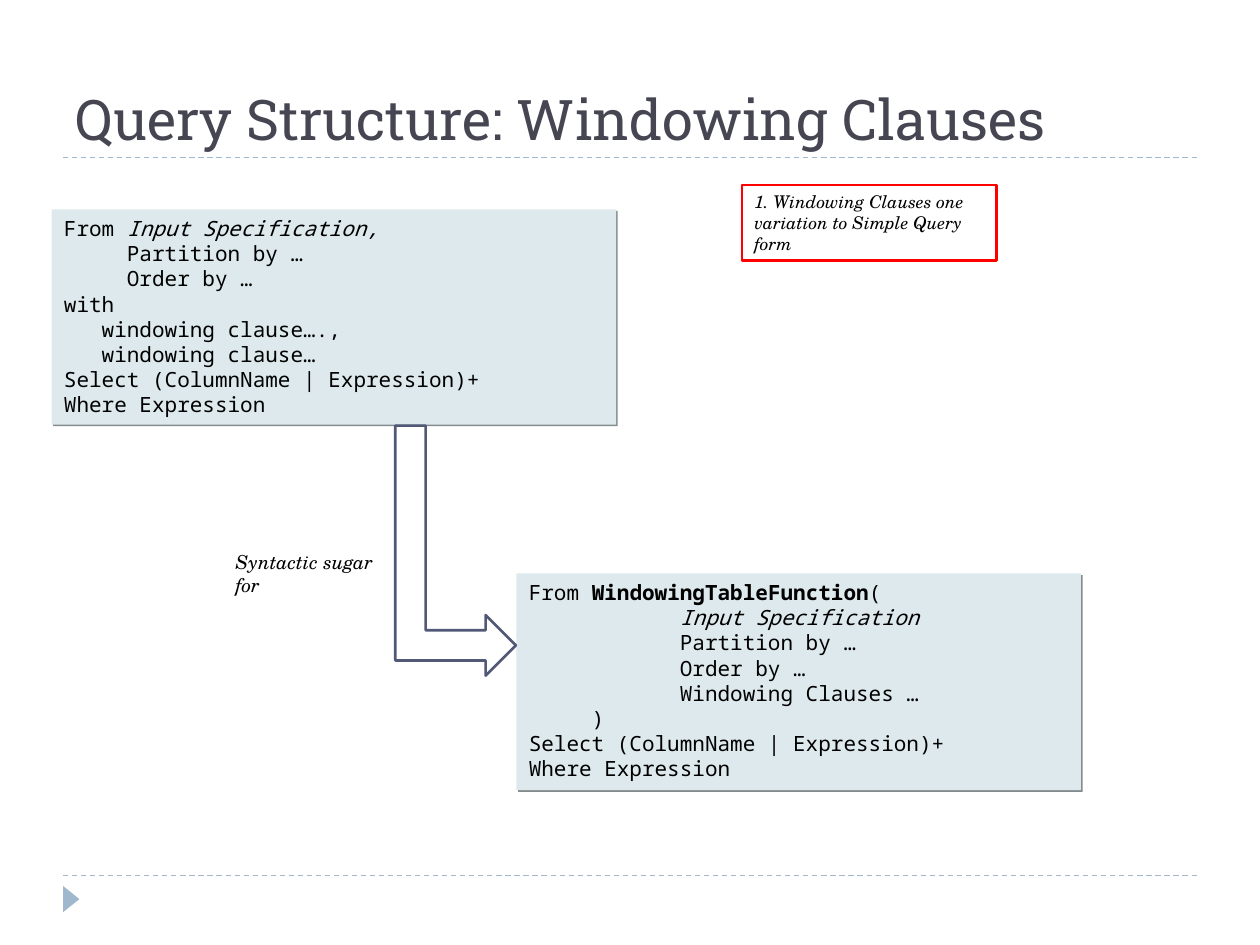
"""Build a slide on windowing clauses as syntactic sugar for a table function."""
import pptx
import pptx.dml.color
import pptx.enum.dml
import pptx.enum.shapes
import pptx.enum.text
import pptx.oxml
import pptx.oxml.ns
import pptx.util

Cm = pptx.util.Cm
Pt = pptx.util.Pt

THEME = {
    "heading": {"font": "Roboto Slab", "size": 32, "color": "464653"},
    "code": {"font": "Noto Sans Mono", "size": 12, "color": "000000"},
    "label": {"font": "TeX Gyre Schola", "size": 11, "color": "000000"},
    "note": {"font": "TeX Gyre Schola", "size": 10, "color": "000000"},
    "code_spacing": 14.4,
    "rule": "9FB8CD",
    "panel": "DDE9EC",
    "shadow": "858C8E",
    "arrow": "525977",
    "alert": "FF0000",
}

TITLE = "Query Structure: Windowing Clauses"
LABEL = "Syntactic sugar for"
NOTE = "1. Windowing Clauses one variation to Simple Query form"
COMMON_ENDING = [
    [("Select (ColumnName | Expression)+", "")],
    [("Where Expression", "")],
]
CODE_PANELS = [
    ((1.04, 4.22, 11.38, 4.34), [
        [("From ", ""), ("Input Specification,", "italic")],
        [("     Partition by …", "")],
        [("     Order by …", "")],
        [("with", "")],
        [("   windowing clause….,", "")],
        [("   windowing clause…", "")],
    ] + COMMON_ENDING),
    ((10.41, 11.56, 11.38, 4.37), [
        [("From ", ""), ("WindowingTableFunction", "bold"), ("(", "")],
        [("            Input Specification", "italic")],
        [("            Partition by …", "")],
        [("            Order by …", "")],
        [("            Windowing Clauses …", "")],
        [("     )", "")],
    ] + COMMON_ENDING),
]
TITLE_BOX = (1.27, 0.64, 22.86, 2.54)
LABEL_BOX = (4.5, 10.97, 3.76, 1.19)
NOTE_BOX = (14.96, 3.73, 5.13, 1.52)
MARKER_BOX = (1.17, 17.96, 0.53, 0.33)
RULE_LEFT, RULE_RIGHT = 1.27, 24.13
RULE_HEIGHTS = (3.18, 17.65)
ARROW = {"left": 7.97, "top": 8.58, "tip": (10.4, 13.01), "unit": 0.61}


def rgb(color):
    return pptx.dml.color.RGBColor.from_string(color)


def place(box):
    return [Cm(length) for length in box]


def format_run(run, style, emphasis=""):
    run.font.name = style["font"]
    run.font.size = Pt(style["size"])
    run.font.color.rgb = rgb(style["color"])
    run.font.bold = emphasis == "bold"
    run.font.italic = emphasis == "italic"


def set_text(shape, text, style, emphasis="", anchor=pptx.enum.text.MSO_ANCHOR.TOP):
    frame = shape.text_frame
    frame.text = text
    frame.word_wrap = True
    frame.vertical_anchor = anchor
    paragraph = frame.paragraphs[0]
    paragraph.alignment = pptx.enum.text.PP_ALIGN.LEFT
    format_run(paragraph.runs[0], style, emphasis)


def add_box(slide, box, fill=None, line=None, kind="RECTANGLE"):
    shape_type = getattr(pptx.enum.shapes.MSO_SHAPE, kind)
    shape = slide.shapes.add_shape(shape_type, *place(box))
    paint(shape, fill, line)
    return shape


def paint(shape, fill, line):
    shape.shadow.inherit = False
    if fill:
        shape.fill.solid()
        shape.fill.fore_color.rgb = rgb(fill)
    else:
        shape.fill.background()
    if line:
        shape.line.color.rgb = rgb(line)
        shape.line.width = Pt(1.5)
    else:
        shape.line.fill.background()


def add_shadow(shape):
    effects = shape._element.spPr.find(pptx.oxml.ns.qn("a:effectLst"))
    effects.append(pptx.oxml.parse_xml(
        f'<a:outerShdw {pptx.oxml.ns.nsdecls("a")} dist="{Pt(1.4)}" dir="2700000" '
        f'algn="ctr" rotWithShape="0"><a:srgbClr val="{THEME["shadow"]}"/></a:outerShdw>'))


def add_rule(slide, height):
    rule = slide.shapes.add_connector(
        pptx.enum.shapes.MSO_CONNECTOR.STRAIGHT,
        *place((RULE_LEFT, height, RULE_RIGHT, height)))
    rule.line.color.rgb = rgb(THEME["rule"])
    rule.line.width = Pt(0.75)
    rule.line.dash_style = pptx.enum.dml.MSO_LINE.DASH
    rule._element.spPr.append(pptx.oxml.parse_xml(
        f'<a:effectLst {pptx.oxml.ns.nsdecls("a")}/>'))


def add_code_panel(slide, box, lines):
    panel = add_box(slide, box, fill=THEME["panel"])
    add_shadow(panel)
    frame = panel.text_frame
    frame.word_wrap = True
    frame.vertical_anchor = pptx.enum.text.MSO_ANCHOR.TOP
    for index, line in enumerate(lines):
        paragraph = frame.add_paragraph() if index else frame.paragraphs[0]
        paragraph.alignment = pptx.enum.text.PP_ALIGN.LEFT
        paragraph.line_spacing = Pt(THEME["code_spacing"])
        for text, emphasis in line:
            run = paragraph.add_run()
            run.text = text
            format_run(run, THEME["code"], emphasis)


def add_bent_arrow(slide, left, top, tip, unit):
    tip_x, tip_y = tip
    head_x, half = tip_x - unit, unit / 2
    points = [
        (left, top), (left + unit, top), (left + unit, tip_y - half),
        (head_x, tip_y - half), (head_x, tip_y - unit), tip,
        (head_x, tip_y + unit), (head_x, tip_y + half), (left, tip_y + half),
    ]
    start, *others = [tuple(place(point)) for point in points]
    builder = slide.shapes.build_freeform(*start)
    builder.add_line_segments(others, close=True)
    paint(builder.convert_to_shape(), None, THEME["arrow"])


def main():
    presentation = pptx.Presentation()
    presentation.slide_width, presentation.slide_height = Cm(25.4), Cm(19.05)
    slide = presentation.slides.add_slide(presentation.slide_layouts[5])

    for height in RULE_HEIGHTS:
        add_rule(slide, height)
    marker = add_box(slide, MARKER_BOX, THEME["rule"], kind="ISOSCELES_TRIANGLE")
    marker.rotation = 90

    title = slide.shapes.title
    title.left, title.top, title.width, title.height = place(TITLE_BOX)
    set_text(title, TITLE, THEME["heading"], anchor=pptx.enum.text.MSO_ANCHOR.BOTTOM)

    for box, lines in CODE_PANELS:
        add_code_panel(slide, box, lines)
    add_bent_arrow(slide, **ARROW)
    set_text(slide.shapes.add_textbox(*place(LABEL_BOX)), LABEL, THEME["label"], "italic")
    set_text(add_box(slide, NOTE_BOX, line=THEME["alert"]), NOTE, THEME["note"], "italic")

    presentation.save("out.pptx")


if __name__ == "__main__":
    main()
